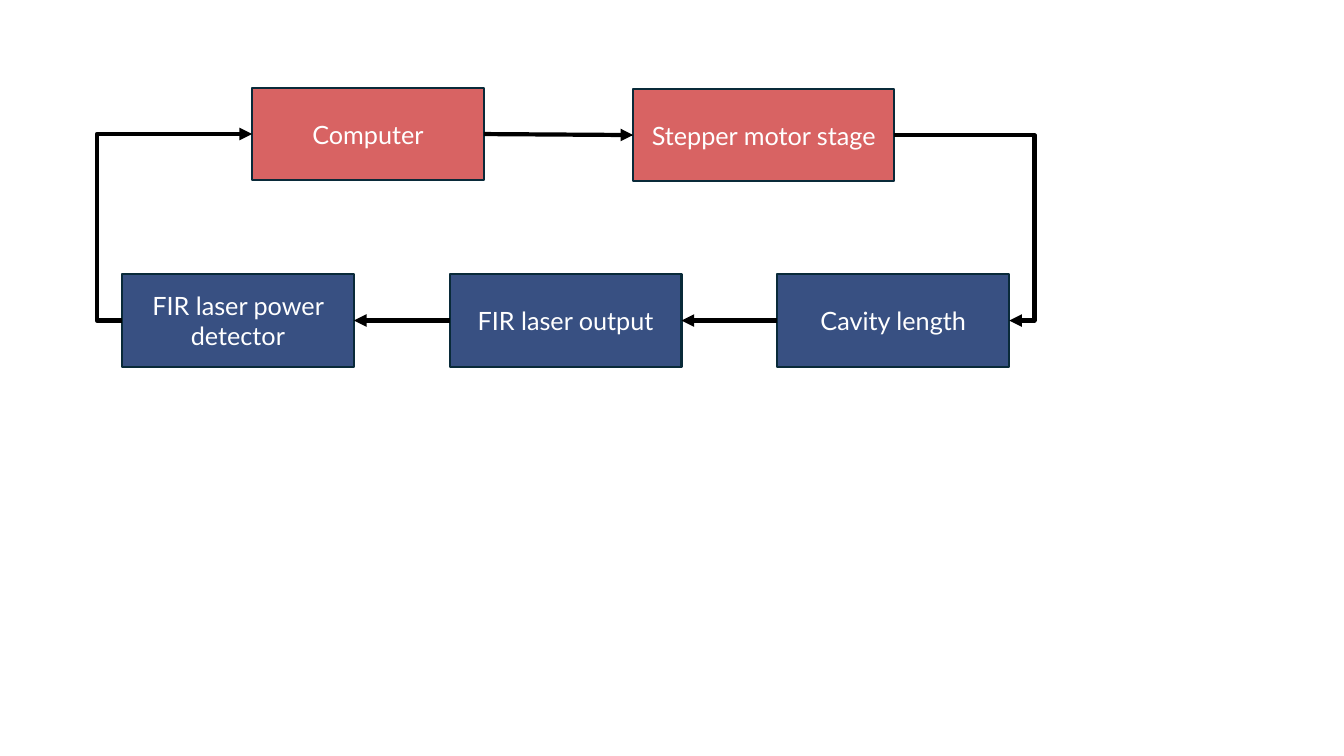
from dataclasses import dataclass

from lxml import etree
from pptx import Presentation
from pptx.dml.color import RGBColor
from pptx.enum.shapes import MSO_CONNECTOR, MSO_SHAPE
from pptx.enum.text import MSO_ANCHOR, PP_ALIGN
from pptx.oxml.ns import qn
from pptx.util import Inches, Pt

RECT = MSO_SHAPE.RECTANGLE
STRAIGHT, ELBOW = MSO_CONNECTOR.STRAIGHT, MSO_CONNECTOR.ELBOW
CENTER, MIDDLE = PP_ALIGN.CENTER, MSO_ANCHOR.MIDDLE
LEFT, RIGHT = 1, 3  # connection sites of a rectangle


@dataclass
class Theme:
    font: str = "Lato"
    size: int = 18
    text: str = "FFFFFF"
    edge: str = "092A39"
    arrow: str = "000000"
    red: tuple = ("C00000", 61)
    blue: tuple = ("002060", 78)


theme = Theme()
color = RGBColor.from_string

# Slide
deck = Presentation()
deck.slide_width, deck.slide_height = Inches(13.33), Inches(7.5)
slide = deck.slides.add_slide(deck.slide_layouts[6])

# Boxes: the control row above, the laser row below in equal steps
wide, high = 2.3, 0.92
low, step = 2.72, 3.25
boxes = [
    ("Stepper motor stage", 6.28, 0.88, 2.59, theme.red),
    ("Cavity length", 1.21 + 2 * step, low, wide, theme.blue),
    ("FIR laser output", 1.21 + step, low, wide, theme.blue),
    ("FIR laser power detector", 1.21, low, wide, theme.blue),
    ("Computer", 2.5, 0.87, wide, theme.red),
]
nodes = []
for label, x, y, width, (tint, alpha) in boxes:
    box = slide.shapes.add_shape(
        RECT, Inches(x), Inches(y), Inches(width), Inches(high))
    box.shadow.inherit = False
    box.fill.solid()
    box.fill.fore_color.rgb = color(tint)
    shade = box._element.spPr.find(qn("a:solidFill")).find(qn("a:srgbClr"))
    etree.SubElement(shade, qn("a:alpha"), val=str(alpha * 1000))
    box.line.color.rgb = color(theme.edge)
    box.line.width = Pt(1.5)
    frame = box.text_frame
    frame.word_wrap = True
    frame.vertical_anchor = MIDDLE
    para = frame.paragraphs[0]
    para.alignment = CENTER
    run = para.add_run()
    run.text = label
    run.font.name = theme.font
    run.font.size = Pt(theme.size)
    run.font.color.rgb = color(theme.text)
    nodes.append(box)

# Arrows: the loop; an elbow swings out past the right (+) or left (-) end
stage, cavity, output, meter, host = nodes
swing = Inches(0.25)
links = [
    (host, RIGHT, stage, LEFT, 0),
    (cavity, LEFT, output, RIGHT, 0),
    (output, LEFT, meter, RIGHT, 0),
    (stage, RIGHT, cavity, RIGHT, swing),
    (meter, LEFT, host, LEFT, -swing),
]
for start, out, end, into, bend in links:
    kind = ELBOW if bend else STRAIGHT
    link = slide.shapes.add_connector(kind, 0, 0, 0, 0)
    link.begin_connect(start, out)
    link.end_connect(end, into)
    link.line.color.rgb = color(theme.arrow)
    link.line.width = Pt(3)
    props = link._element.spPr
    etree.SubElement(props.find(qn("a:ln")), qn("a:tailEnd"), type="triangle")
    etree.SubElement(props, qn("a:effectLst"))
    if bend:
        share = bend / link.width + (bend > 0)
        guides = props.find(qn("a:prstGeom")).find(qn("a:avLst"))
        etree.SubElement(guides, qn("a:gd"), name="adj1",
                         fmla=f"val {round(share * 100000)}")

deck.save("out.pptx")
